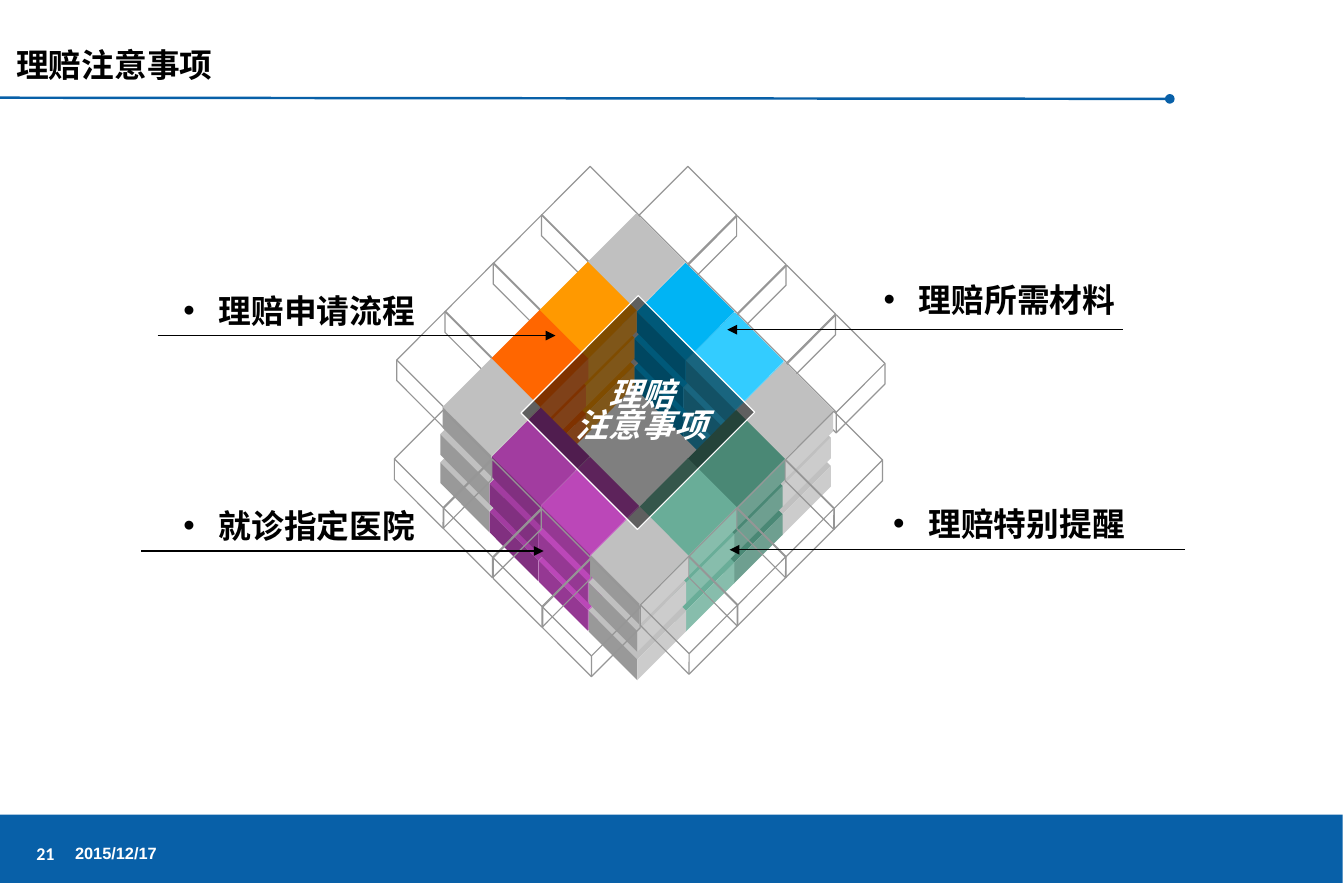
from dataclasses import dataclass
from typing import Optional

from pptx import Presentation
from pptx import util as u
from pptx.dml.color import RGBColor
from pptx.enum import shapes, text
from pptx.oxml.ns import qn
from lxml import etree

BLUE = RGBColor(0x08, 0x60, 0xA8)
BLACK = RGBColor(0, 0, 0)
WHITE = RGBColor(255, 255, 255)
WIRE = RGBColor(0x96, 0x96, 0x96)
GREY = RGBColor(0xC0, 0xC0, 0xC0)
DEEP_SKY = RGBColor(0x00, 0xB4, 0xF4)
SKY = RGBColor(0x33, 0xCC, 0xFF)
AMBER = RGBColor(0xFF, 0x99, 0x00)
ORANGE = RGBColor(0xFF, 0x66, 0x00)
PURPLE = RGBColor(0xA2, 0x3C, 0xA0)
ORCHID = RGBColor(0xBB, 0x47, 0xB8)
PINE = RGBColor(0x4A, 0x88, 0x75)
MINT = RGBColor(0x69, 0xAD, 0x98)
CJK = "Noto Sans CJK SC"

CUBE_SIZE = 0.71
RIGHT_STEP = 0.42
LEFT_STEP = 0.41


@dataclass(frozen=True)
class Cube:
    """A cube on the diamond grid: steps down-right, steps down-left, then a shift in inches."""
    right: int
    left: int
    fill: Optional[RGBColor] = None
    dx: float = 0
    dy: float = 0


@dataclass(frozen=True)
class Arrow:
    start: tuple[float, float]
    end: tuple[float, float]
    color: RGBColor = BLACK
    width: float = 0.75
    tip: str = "triangle"


@dataclass(frozen=True)
class Caption:
    lines: tuple[str, ...]
    box: tuple[float, float, float, float]
    size: float = 20
    font: str = CJK
    color: RGBColor = BLACK
    bullet: bool = False
    italic: bool = False
    wrap: bool = True
    anchor: text.MSO_ANCHOR = text.MSO_ANCHOR.TOP
    align: text.PP_ALIGN = text.PP_ALIGN.LEFT
    spacing: float = 1.0


RING = [
    Cube(0, 0, GREY), Cube(1, 0, DEEP_SKY), Cube(2, 0, SKY), Cube(3, 0, GREY),
    Cube(0, 1, AMBER), Cube(0, 2, ORANGE), Cube(0, 3, GREY),
    Cube(1, 3, PURPLE), Cube(2, 3, ORCHID),
    Cube(3, 1, PINE), Cube(3, 2, MINT), Cube(3, 3, GREY),
]
LOWER_TIERS = [(-0.02, 0.47), (-0.02, 0.23)]
BACK_WIRES = [
    wire for i in range(4)
    for wire in (Cube(i, -1, dx=0.03, dy=0.01), Cube(-1, i, dx=0.03, dy=0.02))
]
FRONT_WIRES = [
    wire for i in range(4)
    for wire in (Cube(i, 4, dy=0.03), Cube(4, i))
]
ARROWS = [
    Arrow((1.34, 2.85), (4.72, 2.85)),
    Arrow((10.07, 4.67), (6.2, 4.67)),
    Arrow((1.2, 4.68), (4.62, 4.68)),
    Arrow((9.54, 2.8), (6.18, 2.8)),
]
CAPTIONS = [
    Caption(("理赔注意事项",), (0.04, 0.33, 7.33, 0.44)),
    Caption(("理赔申请流程",), (1.46, 2.42, 2.46, 0.44), bullet=True),
    Caption(("理赔所需材料",), (7.41, 2.33, 2.63, 0.44), bullet=True),
    Caption(("就诊指定医院",), (1.46, 4.25, 2.5, 0.44), bullet=True),
    Caption(("理赔特别提醒",), (7.49, 4.23, 2.63, 0.44), bullet=True),
    Caption(("理赔", "注意事项"), (4.79, 3.19, 1.32, 0.64), color=WHITE, italic=True,
            wrap=False, align=text.PP_ALIGN.CENTER, spacing=0.8),
    Caption(("21",), (0.21, 7.08, 0.52, 0.33), 11, "Calibri", WHITE,
            anchor=text.MSO_ANCHOR.MIDDLE),
    Caption(("2015/12/17",), (0.54, 7.08, 0.94, 0.33), 10, "Arial", WHITE,
            anchor=text.MSO_ANCHOR.MIDDLE),
]


def add_block(slide, kind, box, fill: Optional[RGBColor], line: Optional[RGBColor] = None,
              rotation: float = 0):
    """Add a preset shape, left hollow or unlined where a colour is None."""
    shape = slide.shapes.add_shape(kind, *map(u.Inches, box))
    shape.shadow.inherit = False
    shape.rotation = rotation
    if fill is None:
        shape.fill.background()
    else:
        shape.fill.solid()
        shape.fill.fore_color.rgb = fill
    if line is None:
        shape.line.fill.background()
    else:
        shape.line.color.rgb = line
        shape.line.width = u.Pt(0.75)
    return shape


def add_cube(slide, cube: Cube, shift: tuple[float, float] = (0, 0)) -> None:
    right, left = cube.right * RIGHT_STEP, cube.left * LEFT_STEP
    x = 5.05 + right - left + cube.dx + shift[0]
    y = 1.96 + right + left + cube.dy + shift[1]
    line = WIRE if cube.fill is None else None
    shape = add_block(slide, shapes.MSO_SHAPE.CUBE, (x, y, CUBE_SIZE, CUBE_SIZE),
                      cube.fill, line, 135)
    shape.adjustments[0] = 0.175


def add_arrow(slide, arrow: Arrow) -> None:
    connector = slide.shapes.add_connector(
        shapes.MSO_CONNECTOR.STRAIGHT, *map(u.Inches, arrow.start + arrow.end))
    connector.line.color.rgb = arrow.color
    connector.line.width = u.Pt(arrow.width)
    etree.SubElement(connector.line._get_or_add_ln(), qn("a:tailEnd"), type=arrow.tip)
    etree.SubElement(connector._element.spPr, qn("a:effectLst"))


def add_bullet(paragraph) -> None:
    properties = paragraph._p.get_or_add_pPr()
    properties.set("marL", str(u.Inches(0.3)))
    properties.set("indent", str(u.Inches(-0.3)))
    etree.SubElement(properties, qn("a:buFont"), typeface="Arial")
    etree.SubElement(properties, qn("a:buChar"), char="•")


def add_caption(slide, caption: Caption) -> None:
    frame = slide.shapes.add_textbox(*map(u.Inches, caption.box)).text_frame
    frame.word_wrap = caption.wrap
    frame.vertical_anchor = caption.anchor
    font_format = {"size": u.Pt(caption.size), "name": caption.font,
                   "bold": True, "italic": caption.italic}
    for index, line in enumerate(caption.lines):
        paragraph = frame.add_paragraph() if index else frame.paragraphs[0]
        paragraph.alignment = caption.align
        paragraph.line_spacing = caption.spacing
        if caption.bullet:
            add_bullet(paragraph)
        run = paragraph.add_run()
        run.text = line
        for name, value in font_format.items():
            setattr(run.font, name, value)
        run.font.color.rgb = caption.color
        etree.SubElement(run._r.get_or_add_rPr(), qn("a:ea"), typeface=caption.font)


def add_glass_diamond(slide) -> None:
    diamond = add_block(slide, shapes.MSO_SHAPE.RECTANGLE, (4.72, 2.8, 1.4, 1.41),
                        BLACK, WHITE, 45)
    color = diamond._element.spPr.find(qn("a:solidFill"))[0]
    etree.SubElement(color, qn("a:alpha"), val="50000")


def main() -> None:
    presentation = Presentation()
    presentation.slide_width = u.Inches(11.42)
    presentation.slide_height = u.Inches(7.5)
    slide = presentation.slides.add_slide(presentation.slide_layouts[6])

    add_block(slide, shapes.MSO_SHAPE.RECTANGLE, (0, 6.92, 11.41, 0.58), BLUE)
    add_arrow(slide, Arrow((0, 0.83), (9.94, 0.84), BLUE, 1.5, "oval"))
    for shift in LOWER_TIERS:
        for cube in RING:
            add_cube(slide, cube, shift)
    # The nearest cube stands before the side wires and behind the last two.
    for cube in BACK_WIRES + RING[:-1] + FRONT_WIRES[:-2] + RING[-1:] + FRONT_WIRES[-2:]:
        add_cube(slide, cube)
    for arrow in ARROWS:
        add_arrow(slide, arrow)
    add_glass_diamond(slide)
    for caption in CAPTIONS:
        add_caption(slide, caption)
    presentation.save("out.pptx")


if __name__ == "__main__":
    main()
